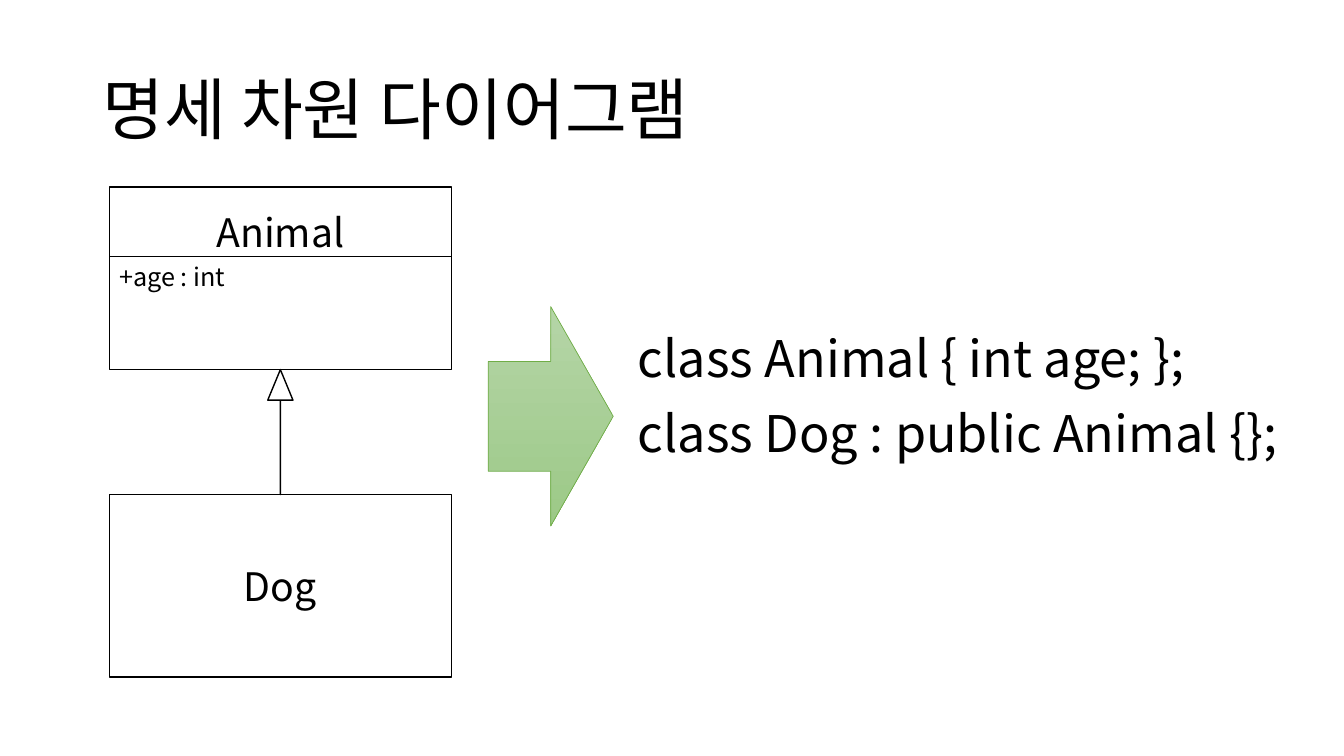
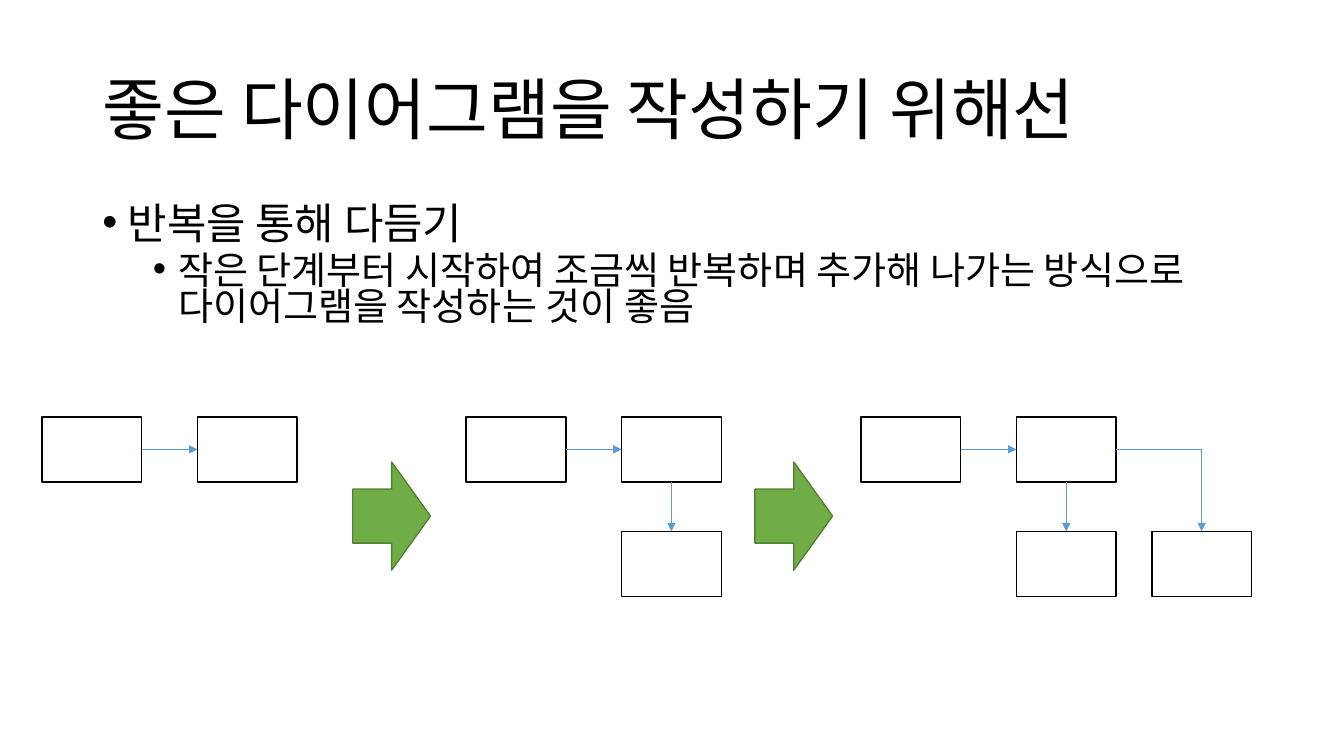
"""Build two slides on drawing class diagrams."""
from dataclasses import dataclass

from lxml import etree
from pptx import Presentation, util as u
from pptx.dml.color import RGBColor as Rgb
from pptx.enum import shapes as sh, text as tx
from pptx.oxml.ns import qn

PX = 9525


@dataclass(frozen=True)
class Theme:
    font: str = "Noto Sans CJK KR"
    ink: str = "000000"
    paper: str = "FFFFFF"
    link: str = "5B9BD5"
    green: str = "70AD47"
    edge: str = "538035"
    fade: tuple = ("B5D5A7", "9CC987")
    title: int = 48
    code: int = 36
    label: int = 28
    field: int = 18
    list: tuple = (30.6, 27.2)
    thin: float = 0.5
    line: int = 1


T = Theme()
LEFT, MID = tx.PP_ALIGN.LEFT, tx.PP_ALIGN.CENTER
TOP, CENTER = tx.MSO_ANCHOR.TOP, tx.MSO_ANCHOR.MIDDLE


def write(shape, lines, sizes, align=LEFT, anchor=TOP, space=1.0, gap=0, bullet=None):
    """Fill a shape with one styled paragraph per line."""
    frame = shape.text_frame
    frame.text = "\n".join(lines)
    frame.word_wrap = True
    frame.auto_size = tx.MSO_AUTO_SIZE.NONE
    frame.vertical_anchor = anchor
    for i, (para, size) in enumerate(zip(frame.paragraphs, sizes)):
        para.alignment = align
        para.line_spacing = space
        para.space_before = u.Pt(gap if i else 0)
        para.space_after = u.Pt(0)
        props = para._p.get_or_add_pPr()
        if bullet:
            para.level = i
            props.set("marL", str((24 + 48 * i) * PX))
            props.set("indent", str(-24 * PX))
            etree.SubElement(props, qn("a:buChar")).set("char", bullet)
        else:
            props.set("marL", "0")
            props.set("indent", "0")
            etree.SubElement(props, qn("a:buNone"))
        for run in para.runs:
            run.font.size = u.Pt(size)
            run.font.color.rgb = Rgb.from_string(T.ink)
            run.font.name = T.font
            east = etree.SubElement(run._r.get_or_add_rPr(), qn("a:ea"))
            east.set("typeface", T.font)


def draw(slide, kind, box, fill=T.paper, edge=T.ink, width=T.line):
    """Add a flat preset shape, its box given in px."""
    shape = slide.shapes.add_shape(kind, *[n * PX for n in box])
    shape.shadow.inherit = False
    if fill:
        shape.fill.solid()
        shape.fill.fore_color.rgb = Rgb.from_string(fill)
    else:
        shape.fill.background()
    shape.line.color.rgb = Rgb.from_string(edge)
    shape.line.width = u.Pt(width)
    return shape


deck = Presentation()
deck.slide_width, deck.slide_height = 1280 * PX, 720 * PX
RECT, ARROW = sh.MSO_SHAPE.RECTANGLE, sh.MSO_SHAPE.RIGHT_ARROW
pages = []
for title, body in (
    ("명세 차원 다이어그램", (598, 307, 666, 227)),
    ("좋은 다이어그램을 작성하기 위해선", (88, 192, 1104, 130)),
):
    page = deck.slides.add_slide(deck.slide_layouts[1])
    for part, box in zip(page.placeholders, ((88, 38, 1104, 139), body)):
        part.left, part.top, part.width, part.height = [n * PX for n in box]
    write(page.shapes.title, [title], [T.title], anchor=CENTER, space=0.9)
    pages.append(page)
spec, steps = pages
lines = []

write(
    spec.placeholders[1],
    ["class Animal { int age; };", "class Dog : public Animal {};"],
    [T.code] * 2,
    gap=10,
)
base = draw(spec, RECT, (104, 178, 326, 174))
write(base, ["Animal"], [T.label], MID)
base.text_frame.margin_top = 20 * PX
child = draw(spec, RECT, (104, 471, 326, 174))
write(child, ["Dog"], [T.label], MID, CENTER)
head = draw(spec, sh.MSO_SHAPE.DOWN_ARROW, (255, 352, 24, 119), fill=None)
head.rotation = 180
head.adjustments[0], head.adjustments[1] = 0, 1.21
rule = spec.shapes.add_connector(
    sh.MSO_CONNECTOR.STRAIGHT, 104 * PX, 244 * PX, 430 * PX, 244 * PX
)
lines.append((rule, T.ink, False))
field = spec.shapes.add_textbox(104 * PX, 244 * PX, 326 * PX, 38 * PX)
write(field, ["+age : int"], [T.field])
arrow = draw(spec, ARROW, (465, 292, 119, 209), edge=T.green, width=T.thin)
arrow.fill.gradient()
arrow.fill.gradient_angle = 270
for stop, tone in zip(arrow.fill.gradient_stops, T.fade):
    stop.color.rgb = Rgb.from_string(tone)

write(
    steps.placeholders[1],
    [
        "반복을 통해 다듬기",
        "작은 단계부터 시작하여 조금씩 반복하며 추가해 나가는 방식으로 다이어그램을 작성하는 것이 좋음",
    ],
    T.list,
    space=0.8,
    gap=5,
    bullet="•",
)
cells = ((0, 0), (148, 0), (148, 109), (277, 109))
joins = ((0, 3, 1, 1), (1, 2, 2, 0), (1, 3, 3, 0))
for left, count in ((40, 2), (444, 3), (820, 4)):
    nodes = [draw(steps, RECT, (left + x, 397 + y, 95, 62)) for x, y in cells[:count]]
    for start, out, end, into in joins[: count - 1]:
        bent = end == 3
        kind = sh.MSO_CONNECTOR.ELBOW if bent else sh.MSO_CONNECTOR.STRAIGHT
        link = steps.shapes.add_connector(kind, 0, 0, 0, 0)
        link.begin_connect(nodes[start], out)
        link.end_connect(nodes[end], into)
        if bent:
            link._element.spPr.find(qn("a:prstGeom")).set("prst", "bentConnector2")
        lines.append((link, T.link, True))
for left in (336, 719):
    draw(steps, ARROW, (left, 440, 74, 103), T.green, T.edge)

for line, tone, tip in lines:
    line.line.color.rgb = Rgb.from_string(tone)
    line.line.width = u.Pt(T.thin)
    props = line._element.spPr
    if tip:
        etree.SubElement(props.find(qn("a:ln")), qn("a:tailEnd")).set("type", "triangle")
    etree.SubElement(props, qn("a:effectLst"))

deck.save("out.pptx")
